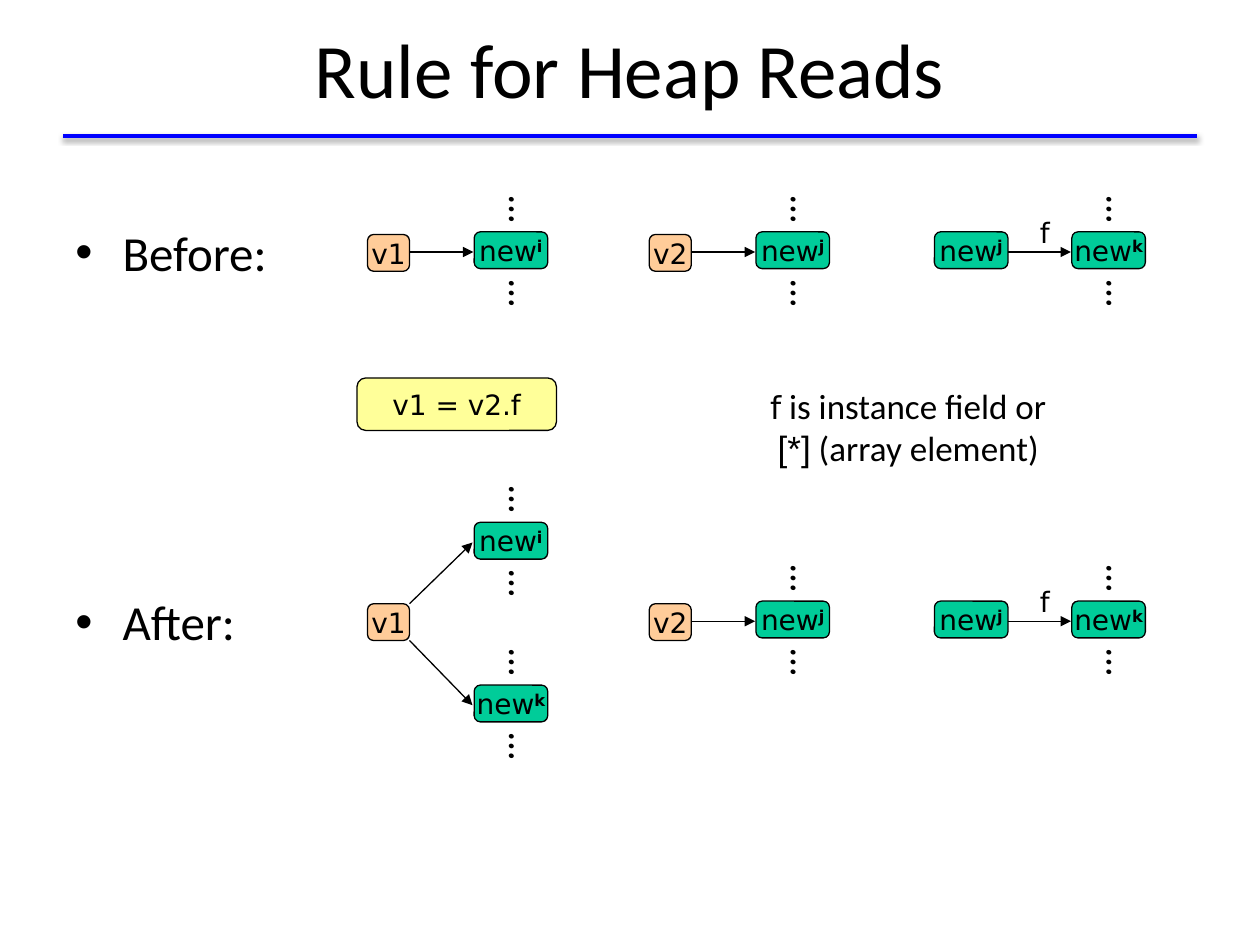
import pptx
import pptx.util
import pptx.dml.color
import pptx.enum.shapes
import pptx.enum.text
import pptx.oxml
import pptx.oxml.ns

Pt = pptx.util.Pt
RGB = pptx.dml.color.RGBColor
MID = pptx.enum.text.MSO_ANCHOR.MIDDLE
CENTER = pptx.enum.text.PP_ALIGN.CENTER
BLACK = RGB(0, 0, 0)
BLUE = RGB(0, 0, 255)
PEACH = RGB(255, 204, 153)
GREEN = RGB(0, 204, 153)
YELLOW = RGB(255, 255, 153)
SANS = "DejaVu Sans"
NS = pptx.oxml.ns.nsdecls("a")

# Sizes of the graph nodes
VAR_W, NEW_W, NODE_H = 24, 42, 21
GAP = 37
SHADOW = ('<a:outerShdw blurRad="39370" dist="20320" dir="5400000">'
          '<a:srgbClr val="000000"><a:alpha val="38000"/></a:srgbClr>'
          '</a:outerShdw>')

deck = pptx.Presentation()
deck.slide_width, deck.slide_height = Pt(720), Pt(540)
slide = deck.slides.add_slide(deck.slide_layouts[6])
shapes = slide.shapes


def style(run, size, font=SANS, bold=False):
    run.font.size = Pt(size)
    run.font.name = font
    run.font.bold = bold
    run.font.color.rgb = BLACK


def label(text, x, y, w, h, size, font=SANS, bold=False, align=CENTER):
    box = shapes.add_textbox(Pt(x), Pt(y), Pt(w), Pt(h))
    frame = box.text_frame
    frame.word_wrap = True
    para = frame.paragraphs[0]
    para.text = text
    para.alignment = align
    for run in para.runs:
        style(run, size, font, bold)
    return box


def line(x1, y1, x2, y2, color=BLACK, width=0.75, arrow=True, effect=""):
    link = shapes.add_connector(pptx.enum.shapes.MSO_CONNECTOR.STRAIGHT,
                                Pt(x1), Pt(y1), Pt(x2), Pt(y2))
    link.line.color.rgb = color
    link.line.width = Pt(width)
    if arrow:
        link.line._get_or_add_ln().append(
            pptx.oxml.parse_xml(f'<a:tailEnd {NS} type="triangle"/>'))
    link._element.spPr.append(
        pptx.oxml.parse_xml(f'<a:effectLst {NS}>{effect}</a:effectLst>'))


def node(text, x, y, w, h, fill, power=""):
    """Rounded box with its left edge at x, centred on y."""
    box = shapes.add_shape(pptx.enum.shapes.MSO_SHAPE.ROUNDED_RECTANGLE,
                           Pt(x), Pt(y - h / 2), Pt(w), Pt(h))
    box.shadow.inherit = False
    box.fill.solid()
    box.fill.fore_color.rgb = fill
    box.line.color.rgb = BLACK
    box.line.width = Pt(0.75)
    frame = box.text_frame
    frame.word_wrap = False
    frame.vertical_anchor = MID
    para = frame.paragraphs[0]
    para.text = text
    para.alignment = CENTER
    style(para.runs[0], 16)
    if power:
        run = para.add_run()
        run.text = power
        style(run, 16, bold=True)
        run.font._element.set("baseline", "30000")


def var(name, x, y):
    node(name, x, y + 0.5, VAR_W, NODE_H, PEACH)


def heap(power, x, y):
    node("new", x, y - 1, NEW_W, NODE_H, GREEN, power)


def target(power, x, y):
    """Heap node with dots above and below."""
    heap(power, x, y)
    for step in (-24, 24):
        dots = label("…", x + NEW_W / 2 + 12 - 18, y - 0.5 + step - 14.4,
                     36, 28.8, 24, "Comic Neue", True)
        dots.rotation = 90


def pair(name, power, x, y):
    """Variable that points to a heap node."""
    var(name, x, y)
    line(x + VAR_W + 0.5, y, x + VAR_W + GAP - 0.5, y)
    target(power, x + VAR_W + GAP, y)


def field(x, y):
    """Heap node that points to another through field f."""
    heap("j", x, y)
    line(x + NEW_W, y, x + NEW_W + GAP - 1, y)
    target("k", x + NEW_W + GAP - 0.5, y)
    label("f", x + NEW_W + 6, y - 24.5, 30, 26.6, 16)


def fork(x, y):
    """Variable that points to two heap nodes."""
    var("v1", x, y)
    for power, step, side in (("i", -45, -10), ("k", 48, 11)):
        line(x + VAR_W, y + side, x + VAR_W + GAP - 1, y + step)
        target(power, x + VAR_W + GAP, y + step)


def title(text, x, y, w, h):
    box = label(text, x, y, w, h, 44, "Calibri")
    box.text_frame.vertical_anchor = MID
    line(x, y + h, x + w, y + h, BLUE, 2, False, SHADOW)


def bullet(text, x, y):
    box = label(text, x, y - 20, 160, 40, 28, "Calibri", align=None)
    box.text_frame.vertical_anchor = MID
    props = box.text_frame.paragraphs[0]._p.get_or_add_pPr()
    props.set("marL", str(Pt(27)))
    props.set("indent", str(Pt(-27)))
    for part in ('<a:buFont %s typeface="Arial"/>', '<a:buChar %s char="•"/>'):
        props.append(pptx.oxml.parse_xml(part % NS))


def note(x, y, w, h):
    box = label("f", x, y, w, h, 18)
    para = box.text_frame.paragraphs[0]
    for text, font in ((" is instance field or", "Calibri"), (None, None),
                       ("[*]", "Arial"), (" (array element)", "Calibri")):
        if text is None:
            para.add_line_break()
            continue
        run = para.add_run()
        run.text = text
        style(run, 20, font)


title("Rule for Heap Reads", 36, 0, 648, 77.76)

# Rows before and after the statement
LEFT, MIDDLE, RIGHT = 210, 371, 534
BEFORE, AFTER = 144, 355
for text, y in (("Before:", BEFORE), ("After:", AFTER)):
    bullet(text, 36, y)
    pair("v2", "j", MIDDLE, y)
    field(RIGHT, y)
pair("v1", "i", LEFT, BEFORE)
fork(LEFT, AFTER)

# Statement and its note
node("v1 = v2.f", 204, 231, 114, 30, YELLOW)
note(348, 216, 342, 55)

deck.save("out.pptx")
